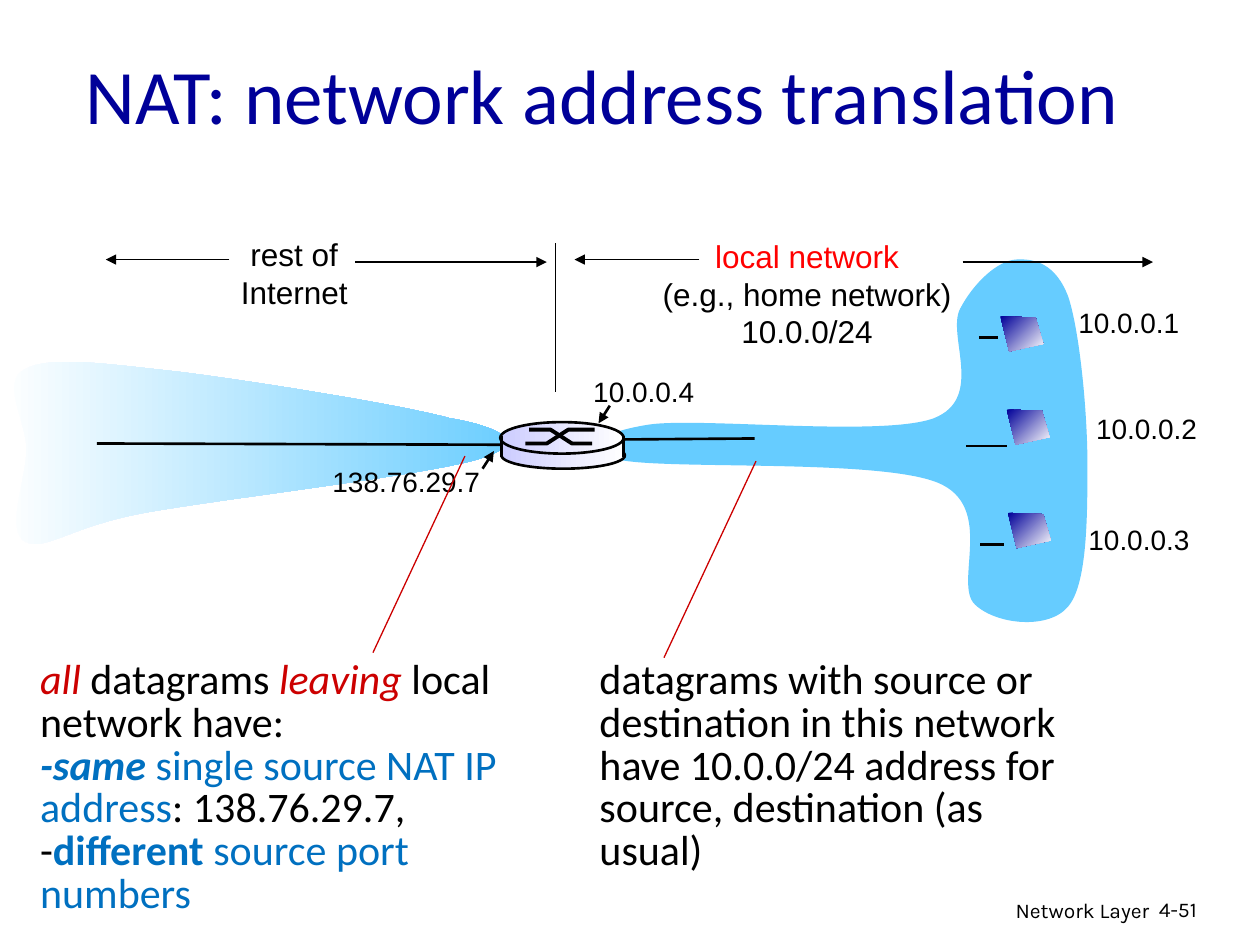
import lxml.etree
import pptx
import pptx.dml.color
import pptx.enum.shapes
import pptx.enum.text
import pptx.oxml.ns
import pptx.util

Inches = pptx.util.Inches
Shape = pptx.enum.shapes.MSO_SHAPE
Align = pptx.enum.text.PP_ALIGN
qn = pptx.oxml.ns.qn

BLACK, NAVY, SKY, LILAC, WHITE = "000000", "000099", "66CCFF", "CCCCFF", "FFFFFF"
RED, CRIMSON, BLUE = "FF0000", "CC0000", "0070C0"

LOCAL_CLOUD = [
    (5.15, 3.37), (5.56, 3.31), (7, 3.47), (7.41, 3.32), (7.82, 3.16), (7.51, 2.66), (7.62, 2.45),
    (7.73, 2.24), (7.92, 2.07), (8.06, 2.06), (8.21, 2.05), (8.38, 2.09), (8.48, 2.36),
    (8.57, 2.64), (8.63, 3.27), (8.63, 3.68), (8.63, 4.09), (8.63, 4.63), (8.48, 4.81),
    (8.33, 5), (7.91, 4.96), (7.74, 4.8), (7.56, 4.64), (7.91, 4.02), (7.44, 3.83),
    (6.97, 3.64), (5.31, 3.73), (4.92, 3.65), (4.54, 3.57), (4.76, 3.43), (5.15, 3.37),
]
INTERNET_CLOUD = [
    (3.57, 3.32), (3.17, 3.21), (1.97, 3.02), (1.41, 2.95), (0.85, 2.89), (0.4, 2.82), (0.2, 2.93),
    (0, 3.03), (0.21, 3.34), (0.21, 3.57), (0.21, 3.8), (0.04, 4.21), (0.2, 4.3),
    (0.36, 4.38), (0.55, 4.18), (1.15, 4.07), (1.75, 3.96), (3.4, 3.77), (3.81, 3.64),
    (4.21, 3.52), (3.98, 3.39), (3.57, 3.32),
]


def colour(value):
    return pptx.dml.color.RGBColor.from_string(value)


class Diagram:
    """Holds the style and the current page, and draws each kind of element."""

    def __init__(self, page):
        self.page = page
        self.font = "Arial"
        self.body = "Calibri"

    def text(self, left, top, width, height, paragraphs, size, font=None, align=Align.LEFT,
             wrap=True, spacing=None, anchor=pptx.enum.text.MSO_ANCHOR.TOP):
        box = self.page.shapes.add_textbox(Inches(left), Inches(top), Inches(width), Inches(height))
        frame = box.text_frame
        frame.word_wrap = wrap
        frame.vertical_anchor = anchor
        for index, spans in enumerate(paragraphs):
            para = frame.paragraphs[0] if index == 0 else frame.add_paragraph()
            para.alignment = align
            para.line_spacing = spacing
            for words, ink, *styles in spans:
                span = para.add_run()
                span.text = words
                span.font.name = font or self.font
                span.font.size = pptx.util.Pt(size)
                span.font.color.rgb = colour(ink)
                span.font.bold = "bold" in styles
                span.font.italic = "italic" in styles

    def label(self, left, top, words, width=1.01):
        self.text(left, top, width, 0.37, [[(words, BLACK)]], 16, wrap=False)

    def line(self, start, end, ink=BLACK, weight=1.5, arrow=False):
        connector = self.page.shapes.add_connector(
            pptx.enum.shapes.MSO_CONNECTOR.STRAIGHT, *map(Inches, (*start, *end)))
        connector.line.color.rgb = colour(ink)
        connector.line.width = pptx.util.Pt(weight)
        if arrow:
            outline = connector.line._get_or_add_ln()
            lxml.etree.SubElement(outline, qn("a:tailEnd"), type="triangle")
        lxml.etree.SubElement(connector._element.spPr, qn("a:effectLst"))

    def paint(self, shape, inks, angle=0, weight=None):
        shape.shadow.inherit = False
        if len(inks) == 2:
            shape.fill.gradient()
            shape.fill.gradient_angle = angle
            for stop, ink in zip(shape.fill.gradient_stops, inks):
                stop.color.rgb = colour(ink)
        elif inks:
            shape.fill.solid()
            shape.fill.fore_color.rgb = colour(inks[0])
        else:
            shape.fill.background()
        if weight:
            shape.line.color.rgb = colour(BLACK)
            shape.line.width = pptx.util.Pt(weight)
        else:
            shape.line.fill.background()

    def outline(self, points, inks=(), angle=0, weight=None):
        corners = [(Inches(x), Inches(y)) for x, y in points]
        builder = self.page.shapes.build_freeform(*corners[0], scale=1.0)
        builder.add_line_segments(corners[1:], close=bool(inks))
        shape = builder.convert_to_shape()
        self.paint(shape, inks, angle, weight)
        return shape

    def cloud(self, points, inks):
        shape = self.outline(points, inks)
        segments = list(shape._element.iter(qn("a:lnTo")))
        for first, second, third in zip(segments[::3], segments[1::3], segments[2::3]):
            first.tag = qn("a:cubicBezTo")
            for segment in (second, third):
                first.append(segment[0])
                segment.getparent().remove(segment)

    def preset(self, kind, left, top, width, height, inks, weight=None):
        shape = self.page.shapes.add_shape(kind, *map(Inches, (left, top, width, height)))
        self.paint(shape, inks, weight=weight)

    def router(self):
        metal = (LILAC, WHITE)
        self.preset(Shape.OVAL, 3.98, 3.51, 0.98, 0.21, metal, 1.5)
        self.preset(Shape.RECTANGLE, 3.98, 3.49, 0.98, 0.13, metal)
        self.preset(Shape.OVAL, 3.97, 3.35, 0.98, 0.25, metal, 1.5)
        self.outline([(4.17, 3.52), (4.34, 3.52), (4.51, 3.41), (4.72, 3.41)], weight=2.25)
        self.outline([(4.2, 3.41), (4.37, 3.41), (4.54, 3.52), (4.7, 3.52)], weight=2.25)
        for side in (3.98, 4.95):
            self.line((side, 3.46), (side, 3.63))

    def screen(self, left, top):
        corners = [(0, 0), (0.28, 0.01), (0.34, 0.22), (0.07, 0.28), (0, 0)]
        self.outline([(left + x, top + y) for x, y in corners], (NAVY, WHITE), angle=315)


def main():
    deck = pptx.Presentation()
    deck.slide_width, deck.slide_height = Inches(10), Inches(7.5)
    diagram = Diagram(deck.slides.add_slide(deck.slide_layouts[6]))

    diagram.text(6.05, 7.07, 3.17, 0.31, [[("Network Layer", BLACK)]], 12, "Karla", Align.RIGHT)
    diagram.text(9.1, 7.07, 0.74, 0.3, [[("4-51", BLACK)]], 12, "Karla")
    diagram.cloud(LOCAL_CLOUD, (SKY,))
    diagram.text(0.58, 0.25, 8.85, 0.99, [[("NAT: network address translation", NAVY)]], 44,
                 diagram.body, anchor=pptx.enum.text.MSO_ANCHOR.MIDDLE)
    diagram.cloud(INTERNET_CLOUD, (WHITE, SKY))

    for start, end in [((4.67, 3.49), (5.99, 3.48)), ((7.99, 3.54), (7.67, 3.54)),
                       ((7.77, 2.68), (7.92, 2.68)), ((7.78, 4.32), (7.97, 4.32)),
                       ((0.77, 3.52), (4.08, 3.53))]:
        diagram.line(start, end)
    for left, top, address in [(8.46, 2.38, "10.0.0.1"), (8.6, 3.22, "10.0.0.2"),
                               (8.54, 4.1, "10.0.0.3"), (4.61, 2.92, "10.0.0.4")]:
        diagram.label(left, top, address)
    diagram.line((4.84, 3.22), (4.75, 3.36), arrow=True)
    diagram.label(2.54, 3.64, "138.76.29.7", 1.38)
    diagram.line((3.83, 3.72), (3.92, 3.58), arrow=True)

    diagram.text(5.16, 1.83, 2.49, 1, [[("local network", RED)], [("(e.g., home network)", BLACK)],
                 [("10.0.0/24", BLACK)]], 18, align=Align.CENTER, wrap=False)
    for start, end, height in [(7.64, 9.15, 2.08), (5.55, 4.56, 2.06),
                               (2.82, 4.34, 2.08), (1.82, 0.84, 2.06)]:
        diagram.line((start, height), (end, height), weight=0.75, arrow=True)
    diagram.line((4.41, 1.93), (4.41, 3.11), weight=0.75)
    diagram.text(1.81, 1.82, 1.05, 0.7, [[("rest of", BLACK)], [("Internet", BLACK)]], 18,
                 align=Align.CENTER, wrap=False)

    local_note = ["datagrams with source or", "destination in this network",
                  "have 10.0.0/24 address for", "source, destination (as usual)"]
    diagram.text(4.66, 5.19, 4.1, 1.46, [[(words, BLACK)] for words in local_note], 24,
                 diagram.body, spacing=0.85)
    diagram.text(0.22, 5.19, 4.11, 2.16, [
        [("all ", CRIMSON, "italic"), ("datagrams ", BLACK),
         ("leaving", CRIMSON, "italic"), (" local", BLACK)],
        [("network have:", BLACK)],
        [("-same", BLUE, "bold", "italic"), (" single source NAT IP address", BLUE),
         (": 138.76.29.7,", BLACK)],
        [("-", BLACK), ("different", BLUE, "bold"), (" source port numbers", BLUE)],
    ], 24, diagram.body, spacing=0.85)
    diagram.line((5.27, 5.22), (6, 3.66), CRIMSON, 0.75)
    diagram.line((2.96, 5.18), (3.69, 3.62), CRIMSON, 0.75)

    diagram.router()
    for left, top in [(7.94, 2.51), (7.99, 3.25), (8, 4.07)]:
        diagram.screen(left, top)
    deck.save("out.pptx")


if __name__ == "__main__":
    main()
